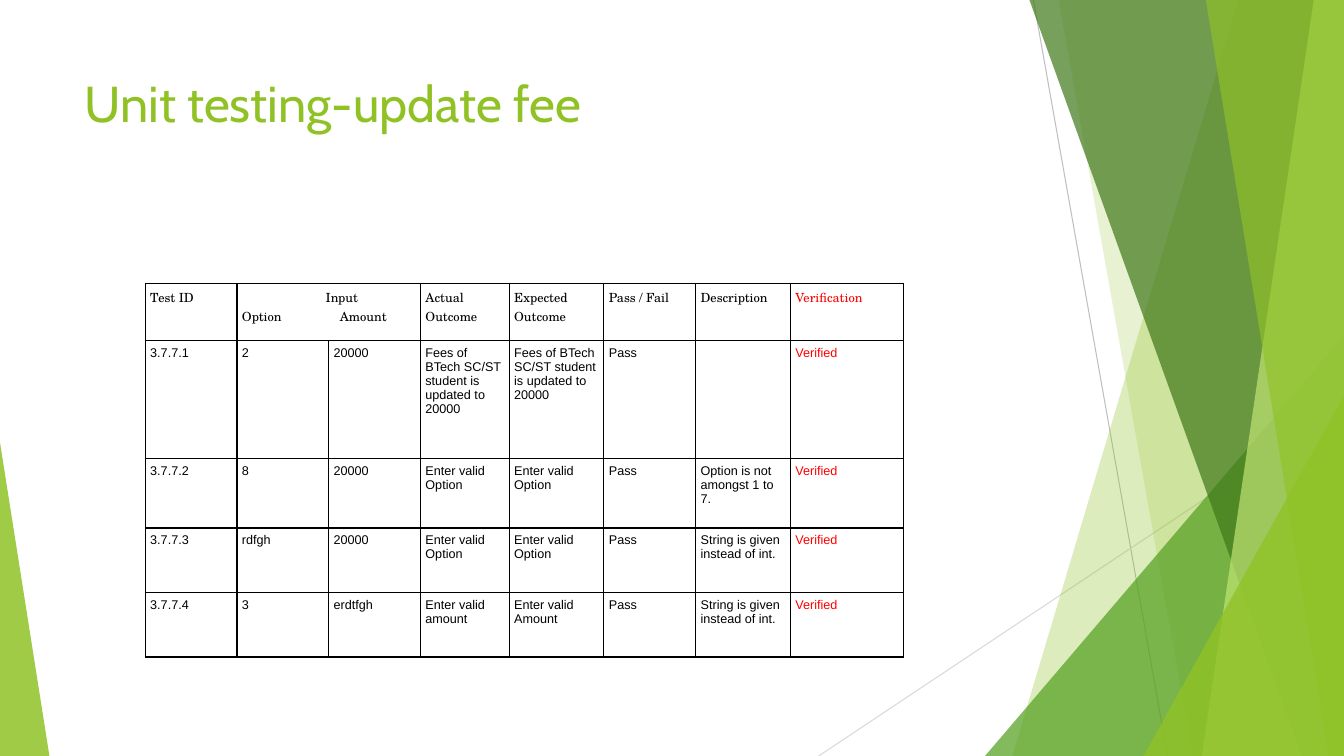
from lxml.etree import SubElement
from pptx import Presentation
from pptx.dml.color import RGBColor
from pptx.enum.shapes import MSO_CONNECTOR, MSO_SHAPE
from pptx.enum.text import MSO_ANCHOR, PP_ALIGN
from pptx.oxml import parse_xml
from pptx.oxml.ns import nsdecls, qn
from pptx.util import Inches, Pt

COLORS = {
    "lime": "90C226", "green": "54A021", "forest": "3F7819", "pale": "C0E474",
    "black": "000000", "red": "FF0000", "gray": "BFBFBF", "silver": "D9D9D9",
}
WIDTH, HEIGHT = 13.33, 7.5

# Facets: top edge start, bottom edge start, color, opacity in percent
BACK_FACETS = [(12.28, 10.04, "lime", 30), (10.5, 11.83, "lime", 20)]
FRONT_FACETS = [
    (10.21, 12.91, "forest", 70),
    (13.03, 11.92, "pale", 70),
    (11.96, 13.18, "lime", 65),
]

COLUMNS = [0.91, 0.91, 0.91, 0.88, 0.94, 0.91, 0.94, 1.12]
ROWS = [0.57, 1.17, 0.69, 0.64, 0.64]
FEES = "Fees of BTech SC/ST student is updated to 20000"
OPTION = "Enter valid Option"
STRING = "String is given instead of int."
TESTS = [
    ["Test ID", "Input\nOption\tAmount", "", "Actual Outcome", "Expected Outcome",
     "Pass / Fail", "Description", "Verification"],
    ["3.7.7.1", "2", "20000", FEES, FEES, "Pass", "", "Verified"],
    ["3.7.7.2", "8", "20000", OPTION, OPTION, "Pass",
     "Option is not amongst 1 to 7.", "Verified"],
    ["3.7.7.3", "rdfgh", "20000", OPTION, OPTION, "Pass", STRING, "Verified"],
    ["3.7.7.4", "3", "erdtfgh", "Enter valid\namount", "Enter valid\nAmount",
     "Pass", STRING, "Verified"],
]


def write_text(frame, text, font="Arial", size=9, color="black", line_height=None):
    """Fill a text frame, one paragraph per line of text."""
    frame.word_wrap = True
    for index, line in enumerate(text.split("\n")):
        para = frame.add_paragraph() if index else frame.paragraphs[0]
        para.alignment = PP_ALIGN.LEFT
        if line_height:
            para.line_spacing = Pt(line_height)
        span = para.add_run()
        span.text = line
        span.font.name = font
        span.font.size = Pt(size)
        span.font.color.rgb = RGBColor.from_string(COLORS[color])


class SlideBuilder:
    def __init__(self, page):
        self.page = page
        self.shapes = page.shapes

    def paint(self, shape, color, opacity):
        shape.shadow.inherit = False
        shape.line.fill.background()
        shape.fill.solid()
        shape.fill.fore_color.rgb = RGBColor.from_string(COLORS[color])
        tint = shape.fill._xPr.find(qn("a:solidFill"))[0]
        SubElement(tint, qn("a:alpha"), val=str(opacity * 1000))

    def line(self, start, end, color):
        points = [Inches(value) for value in (*start, *end)]
        connector = self.shapes.add_connector(MSO_CONNECTOR.STRAIGHT, *points)
        connector.line.color.rgb = RGBColor.from_string(COLORS[color])
        connector.line.width = Pt(0.75)
        SubElement(connector._element.spPr, qn("a:effectLst"))

    def facet(self, top_x, bottom_x, color, opacity):
        outline = self.shapes.build_freeform(Inches(top_x), 0)
        corners = [(WIDTH, 0), (WIDTH, HEIGHT), (bottom_x, HEIGHT)]
        outline.add_line_segments([(Inches(x), Inches(y)) for x, y in corners])
        self.paint(outline.convert_to_shape(), color, opacity)

    def triangle(self, left, top, width, peak, color, opacity):
        shape = self.shapes.add_shape(
            MSO_SHAPE.ISOSCELES_TRIANGLE, Inches(left), Inches(top),
            Inches(width), Inches(HEIGHT - top))
        shape.adjustments[0] = peak
        self.paint(shape, color, opacity)

    def title(self, text, left, top, width, height):
        box = self.shapes.add_textbox(
            Inches(left), Inches(top), Inches(width), Inches(height))
        box.text_frame.vertical_anchor = MSO_ANCHOR.TOP
        write_text(box.text_frame, text, font="Cabin", size=36, color="lime")

    def border(self, cell):
        properties = cell._tc.get_or_add_tcPr()
        for index, side in enumerate(("lnL", "lnR", "lnT", "lnB")):
            properties.insert(index, parse_xml(
                f'<a:{side} {nsdecls("a")} w="12700"><a:solidFill>'
                f'<a:srgbClr val="{COLORS["black"]}"/></a:solidFill></a:{side}>'))

    def table(self, rows, left, top):
        frame = self.shapes.add_table(
            len(ROWS), len(COLUMNS), Inches(left), Inches(top),
            Inches(sum(COLUMNS)), Inches(sum(ROWS)))
        grid = frame.table
        grid.first_row = grid.horz_banding = False
        for column, width in zip(grid.columns, COLUMNS):
            column.width = Inches(width)
        for row, height in zip(grid.rows, ROWS):
            row.height = Inches(height)
        grid.cell(0, 1).merge(grid.cell(0, 2))

        for r, texts in enumerate(rows):
            header = {} if r else {"font": "TeX Gyre Schola", "line_height": 13.5}
            for c, text in enumerate(texts):
                cell = grid.cell(r, c)
                if cell.is_spanned:
                    continue
                cell.margin_left = cell.margin_right = Inches(0.05)
                cell.margin_top = cell.margin_bottom = Inches(0.05)
                cell.fill.background()
                self.border(cell)
                if text:
                    color = "red" if c == len(COLUMNS) - 1 else "black"
                    write_text(cell.text_frame, text, color=color, **header)
        return grid


def main():
    deck = Presentation()
    deck.slide_width, deck.slide_height = Inches(WIDTH), Inches(HEIGHT)
    builder = SlideBuilder(deck.slides.add_slide(deck.slide_layouts[6]))

    # Side decoration
    builder.line((10.25, 0), (11.58, HEIGHT), "gray")
    builder.line((WIDTH, 4.03), (8.12, HEIGHT), "silver")
    for facet in BACK_FACETS:
        builder.facet(*facet)
    builder.triangle(9.77, 3.33, 3.56, 1, "green", 72)
    for facet in FRONT_FACETS:
        builder.facet(*facet)
    builder.triangle(11.34, 3.93, 1.99, 1, "lime", 80)
    builder.triangle(0, 4.39, 0.49, 0, "lime", 85)

    # Title and test table
    builder.title("Unit testing-update fee", 0.74, 0.67, 9.4, 1.44)
    grid = builder.table(TESTS, 1.44, 2.81)

    # Input heading: indent the first line, tab stop in the second
    heading, fields = grid.cell(0, 1).text_frame.paragraphs
    heading._p.get_or_add_pPr().set("marL", str(Inches(0.83)))
    stops = SubElement(fields._p.get_or_add_pPr(), qn("a:tabLst"))
    SubElement(stops, qn("a:tab"), pos=str(Inches(0.97)), algn="l")

    deck.save("out.pptx")


if __name__ == "__main__":
    main()
